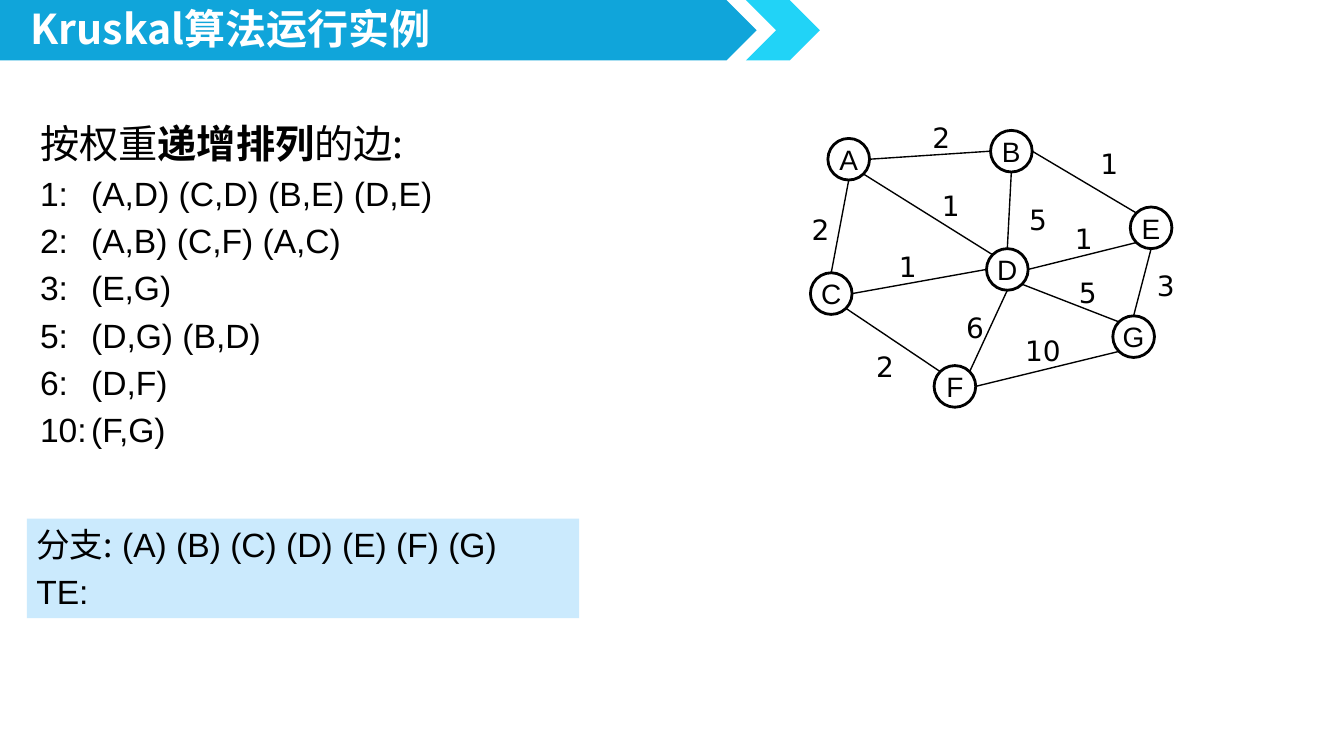
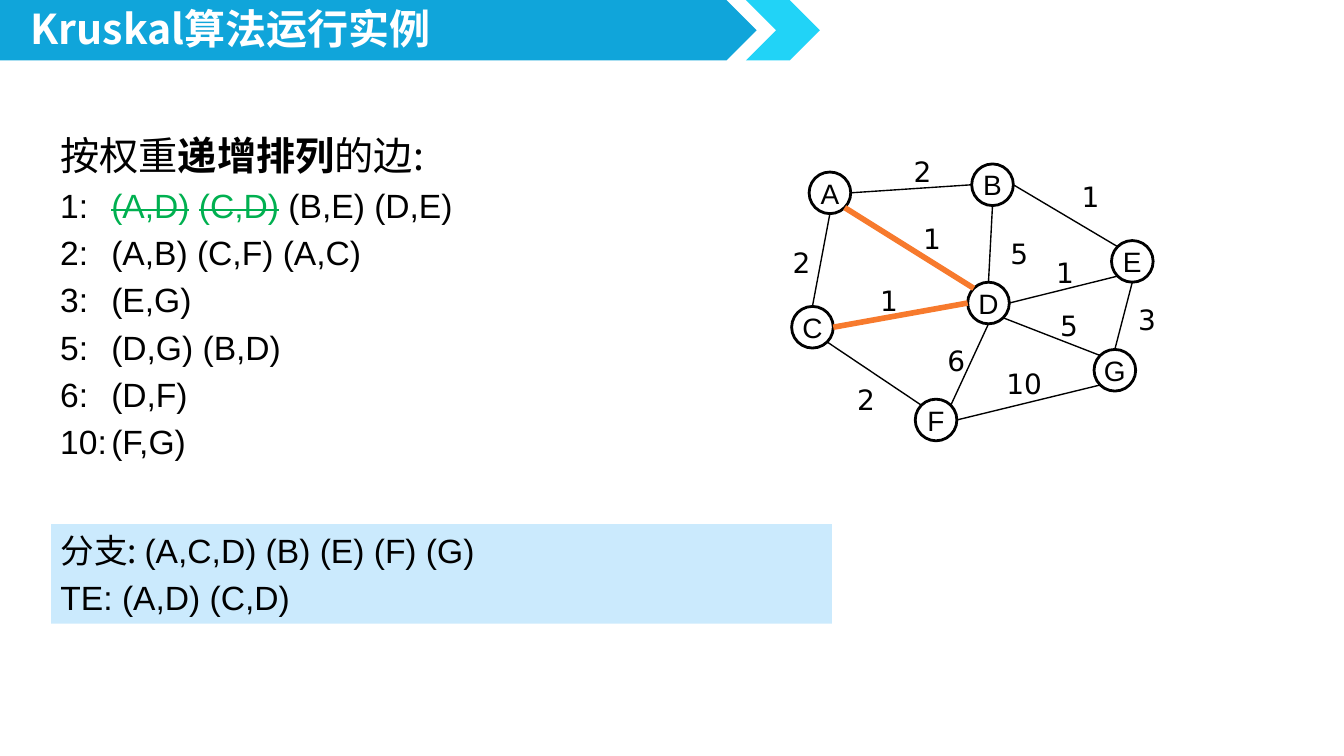
from dataclasses import dataclass

from lxml.etree import SubElement
from pptx import Presentation
from pptx.dml.color import RGBColor
from pptx.enum.shapes import MSO_CONNECTOR as Connector, MSO_SHAPE as Preset
from pptx.enum.text import MSO_ANCHOR as Anchor, PP_ALIGN as Align
from pptx.oxml.ns import qn
from pptx.util import Inches, Pt


@dataclass(frozen=True)
class Theme:
    band: str = "10A5DA"
    chevron: str = "21D3F7"
    panel: str = "CBEAFD"
    ink: str = "000000"
    white: str = "FFFFFF"
    done: str = "00B050"
    chosen: str = "F77A2D"
    cjk: str = "Noto Sans CJK SC"
    latin: str = "Arial"
    digits: str = "DejaVu Sans"
    title: float = 22
    heading: float = 21
    body: float = 18
    graph: float = 15
    gap: float = 3.6
    thin: float = 0.75
    outline: float = 1.5
    thick: float = 3


THEME = Theme()
TITLE = "Kruskal算法运行实例"
CJK = {"font": THEME.cjk}
CJK_HEADING = {"size": THEME.heading, "font": THEME.cjk}
DONE = {"color": THEME.done, "strike": True}
HEADING = [("按权重", CJK_HEADING), ("递增排列", {**CJK_HEADING, "bold": True}), ("的边:", CJK_HEADING)]
EDGE_GROUPS = [
    ("1", ["(A,D)", "(C,D)", "(B,E)", "(D,E)"]),
    ("2", ["(A,B)", "(C,F)", "(A,C)"]),
    ("3", ["(E,G)"]),
    ("5", ["(D,G)", "(B,D)"]),
    ("6", ["(D,F)"]),
    ("10", ["(F,G)"]),
]

NODE_SIZE = 0.31
NODES = {
    "A": (6.16, 1.03), "B": (7.37, 0.97), "C": (6.03, 2.03), "D": (7.34, 1.85),
    "F": (6.95, 2.72), "E": (8.41, 1.54), "G": (8.28, 2.35),
}
SITES = {
    "n": (0, -1), "s": (0, 1), "w": (-1, 0), "e": (1, 0),
    "nw": (-0.71, -0.71), "ne": (0.71, -0.71), "sw": (-0.71, 0.71), "se": (0.71, 0.71),
}
EDGES = [
    ("A", "s", "C", "n", "2", (5.94, 1.53)),
    ("B", "w", "A", "e", "2", (6.84, 0.85)),
    ("D", "n", "B", "s", "5", (7.56, 1.46)),
    ("A", "se", "D", "nw", "1", (6.91, 1.35)),
    ("C", "e", "D", "w", "1", (6.59, 1.81)),
    ("D", "e", "E", "sw", "1", (7.9, 1.6)),
    ("E", "nw", "B", "e", "1", (8.09, 1.04)),
    ("C", "se", "F", "nw", "2", (6.42, 2.55)),
    ("D", "s", "F", "ne", "6", (7.09, 2.26)),
    ("D", "se", "G", "nw", "5", (7.93, 2)),
    ("G", "n", "E", "s", "3", (8.51, 1.95)),
    ("F", "e", "G", "sw", "10", (7.53, 2.43)),
]

STEPS = [
    {
        "list_at": (0.2, 0.84, 9, 2.71),
        "panel_at": (0.2, 3.86, 4.11, 0.74),
        "shift": (0, 0),
        "chosen": [],
        "branches": [("分支:", CJK), (" (A) (B) (C) (D) (E) (F) (G)", {})],
    },
    {
        "list_at": (0.35, 0.93, 9, 2.67),
        "panel_at": (0.38, 3.9, 5.81, 0.74),
        "shift": (-0.14, 0.25),
        "chosen": ["(A,D)", "(C,D)"],
        "branches": [("分支: ", CJK), ("(A,C,D) (B) (E) (F) (G)", {})],
    },
]


def write(frame, paragraphs, size=THEME.body, font=THEME.latin, color=THEME.ink, bold=False,
          align=Align.LEFT, anchor=Anchor.TOP, wrap=True, gap=0, hang=0, leading=None, margins=None):
    frame.word_wrap = wrap
    frame.vertical_anchor = anchor
    if margins:
        frame.margin_left = frame.margin_right = Inches(margins[0])
        frame.margin_top = frame.margin_bottom = Inches(margins[1])
    for index, spans in enumerate(paragraphs):
        para = frame.add_paragraph() if index else frame.paragraphs[0]
        para.alignment = align
        para.space_before = Pt(gap if index else 0)
        if leading:
            para.line_spacing = leading
        if hang:
            properties = para._p.get_or_add_pPr()
            properties.set("marL", str(Inches(hang)))
            properties.set("indent", str(-Inches(hang)))
        for text, style in spans:
            span = para.add_run()
            span.text = text
            span.font.size = Pt(style.get("size", size))
            span.font.bold = style.get("bold", bold)
            span.font.color.rgb = RGBColor.from_string(style.get("color", color))
            span.font.name = style.get("font", font)
            properties = span._r.get_or_add_rPr()
            SubElement(properties, qn("a:ea")).set("typeface", span.font.name)
            if style.get("strike"):
                properties.set("strike", "sngStrike")


def add_box(page, at):
    return page.shapes.add_textbox(*map(Inches, at)).text_frame


def add_preset(page, preset, at, fill=None, line=None):
    shape = page.shapes.add_shape(preset, *map(Inches, at))
    shape.shadow.inherit = False
    if fill:
        shape.fill.solid()
        shape.fill.fore_color.rgb = RGBColor.from_string(fill)
    else:
        shape.fill.background()
    if line:
        shape.line.color.rgb = RGBColor.from_string(line)
        shape.line.width = Pt(THEME.outline)
    else:
        shape.line.fill.background()
    return shape


def add_title(page):
    add_preset(page, Preset.PENTAGON, (0, 0, 5.63, 0.45), fill=THEME.band)
    add_preset(page, Preset.CHEVRON, (5.55, 0, 0.55, 0.45), fill=THEME.chevron)
    write(add_box(page, (0.13, 0.05, 3.31, 0.4)), [[(TITLE, {})]], size=THEME.title,
          font=THEME.cjk, color=THEME.white, bold=True, wrap=False, leading=0.8)


def add_edge_list(page, at, chosen):
    rows = [HEADING]
    for weight, edges in EDGE_GROUPS:
        spans = [(f"{weight}:\t", {})]
        for index, edge in enumerate(edges):
            if index:
                spans.append((" ", {}))
            spans.append((edge, DONE if edge in chosen else {}))
        rows.append(spans)
    write(add_box(page, at), rows, gap=THEME.gap, hang=0.38)


def add_panel(page, at, branches, chosen):
    panel = add_preset(page, Preset.RECTANGLE, at, fill=THEME.panel)
    rows = [branches, [(" ".join(["TE:", *chosen]), {})]]
    write(panel.text_frame, rows, gap=THEME.gap, hang=0.28, margins=(0.07, 0.04))


def add_graph(page, shift, chosen):
    def moved(point):
        return point[0] + shift[0], point[1] + shift[1]

    def site(node, side):
        left, top = moved(NODES[node])
        radius = NODE_SIZE / 2
        across, down = SITES[side]
        return Inches(left + radius * (1 + across)), Inches(top + radius * (1 + down))

    for name, corner in NODES.items():
        node = add_preset(page, Preset.OVAL, (*moved(corner), NODE_SIZE, NODE_SIZE), line=THEME.ink)
        write(node.text_frame, [[(name, {})]], size=THEME.graph,
              align=Align.CENTER, anchor=Anchor.MIDDLE, wrap=False)
    for start, start_side, end, end_side, weight, corner in EDGES:
        picked = f"({start},{end})" in chosen
        line = page.shapes.add_connector(Connector.STRAIGHT, *site(start, start_side), *site(end, end_side))
        line.line.color.rgb = RGBColor.from_string(THEME.chosen if picked else THEME.ink)
        line.line.width = Pt(THEME.thick if picked else THEME.thin)
        SubElement(line._element.spPr, qn("a:effectLst"))
        width = 0.21 + 0.13 * len(weight)
        write(add_box(page, (*moved(corner), width, 0.35)), [[(weight, {})]],
              size=THEME.graph, font=THEME.digits, wrap=False)


def main():
    deck = Presentation()
    deck.slide_width = Inches(10)
    deck.slide_height = deck.slide_width * 9 // 16
    for step in STEPS:
        page = deck.slides.add_slide(deck.slide_layouts[6])
        add_title(page)
        add_edge_list(page, step["list_at"], step["chosen"])
        add_panel(page, step["panel_at"], step["branches"], step["chosen"])
        add_graph(page, step["shift"], step["chosen"])
    deck.save("out.pptx")


if __name__ == "__main__":
    main()
